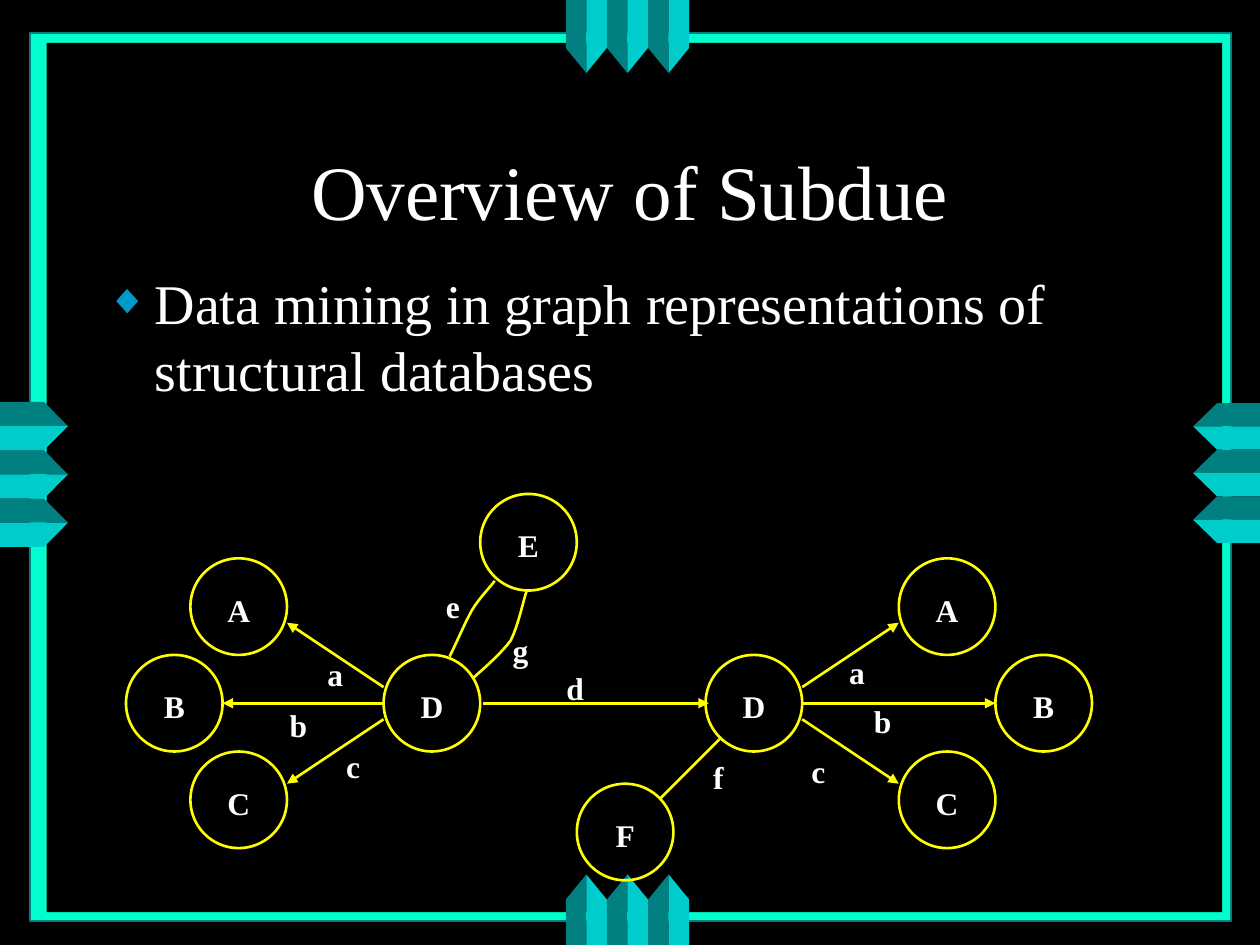
from lxml.etree import SubElement
from pptx import Presentation
from pptx.dml.color import RGBColor
from pptx.enum.shapes import MSO_CONNECTOR, MSO_SHAPE
from pptx.enum.text import MSO_ANCHOR, PP_ALIGN
from pptx.oxml.ns import qn
from pptx.util import Inches, Pt

COLORS = {"background": "000000", "text": "FFFFFF", "graph": "FFFF00",
          "frame": "00FFCC", "dark": "008080", "light": "00CCCC", "bullet": "0099CC"}
FONT = "Times New Roman"
WIDTH, HEIGHT = 10, 7.5

TITLE = "Overview of Subdue"
BULLET = "Data mining in graph representations of structural databases"

# The graph sits on a square grid; each node is three cells wide.
CELL = 2.3 / 9
GRID_LEFT, GRID_TOP = 1, 3.92
NODE_CELLS = 3
NODES = [("A", 2, 2), ("C", 2, 8), ("B", 0, 5), ("D", 8, 5),
         ("A", 24, 2), ("C", 24, 8), ("B", 27, 5), ("D", 18, 5),
         ("F", 14, 9), ("E", 11, 0)]
# start, end, has arrowhead
EDGES = [((21, 6), (24, 4), True), ((21, 6.5), (27, 6.5), True),
         ((21, 7), (24, 9), True), ((8, 6), (5, 4), True),
         ((8, 7), (5, 9), True), ((8, 6.5), (3, 6.5), True),
         ((11.1, 6.5), (18.1, 6.5), True), ((18.45, 7.6), (16.6, 9.45), False)]
EDGE_LABELS = [("f", 17.9, 8.2), ("c", 21, 8), ("b", 23, 6.45), ("a", 22.2, 4.95),
               ("d", 13.45, 5.45), ("e", 9.65, 2.9), ("a", 6, 5), ("b", 4.85, 6.6),
               ("c", 6.55, 7.85), ("g", 11.75, 4.25)]
# Two cubic segments each: a start, then two controls and an end per segment.
CURVES = [
    [(10.8, 5.7), (11.25, 5.3), (11.65, 4.95), (11.95, 4.55),
     (12.2, 4.05), (12.35, 3.25), (12.45, 3)],
    [(10.05, 5.05), (10.3, 4.55), (10.5, 4.05), (10.75, 3.6),
     (11, 3.2), (11.35, 2.85), (11.45, 2.7)],
]
CURVE_STEPS = 8

# axis the strips follow, first strip, strip size, then edge, shoulder and tip
RIBBONS = [("y", 3.19, 0.19, 0, 0.35, 0.54),
           ("x", 4.49, 0.16, 0, 0.38, 0.58),
           ("x", 4.49, 0.16, HEIGHT, 7.14, 6.94),
           ("y", 3.2, 0.18, WIDTH, 9.66, 9.47)]
RIBBON_ENDS = [4.34, 5.47, 5.47, 4.31]
STRIPS = 6


def color(name):
    return RGBColor.from_string(COLORS[name])


def grid_point(column, row):
    return GRID_LEFT + column * CELL, GRID_TOP + row * CELL


def add_preset(slide, kind, box, fill=None, line=None, line_width=1):
    shape = slide.shapes.add_shape(kind, *map(Inches, box))
    style_shape(shape, fill, line, line_width)


def style_shape(shape, fill=None, line=None, line_width=1):
    shape.shadow.inherit = False
    if fill:
        shape.fill.solid()
        shape.fill.fore_color.rgb = color(fill)
    else:
        shape.fill.background()
    if line:
        shape.line.color.rgb = color(line)
        shape.line.width = Pt(line_width)
    else:
        shape.line.fill.background()


def add_outline(slide, points, close):
    corners = [(Inches(x), Inches(y)) for x, y in points]
    builder = slide.shapes.build_freeform(*corners[0], scale=1.0)
    builder.add_line_segments(corners[1:], close=close)
    return builder.convert_to_shape()


def add_text(slide, text, box, size, bold=False, align=PP_ALIGN.CENTER,
             anchor=MSO_ANCHOR.TOP, margins=(0, 0)):
    frame = slide.shapes.add_textbox(*map(Inches, box)).text_frame
    frame.word_wrap = True
    frame.vertical_anchor = anchor
    frame.margin_left = frame.margin_right = Inches(margins[0])
    frame.margin_top = frame.margin_bottom = Inches(margins[1])
    paragraph = frame.paragraphs[0]
    paragraph.text = text
    paragraph.alignment = align
    paragraph.font.name = FONT
    paragraph.font.size = Pt(size)
    paragraph.font.bold = bold
    paragraph.font.color.rgb = color("text")
    return paragraph


def add_bullet(paragraph):
    paragraph.space_before = Pt(8)
    properties = paragraph._p.get_or_add_pPr()
    properties.set("marL", str(Inches(0.38)))
    properties.set("indent", str(-Inches(0.38)))
    bullet_color = SubElement(properties, qn("a:buClr"))
    SubElement(bullet_color, qn("a:srgbClr"), val=COLORS["bullet"])
    SubElement(properties, qn("a:buSzPct"), val="75000")
    SubElement(properties, qn("a:buFont"), typeface=FONT)
    SubElement(properties, qn("a:buChar"), char="◆")


def add_ribbon(slide, ribbon, end):
    """Add folded strips whose paired tips point into the slide."""
    axis, first, _, edge, shoulder, tip = ribbon
    size = (end - first) / STRIPS
    for index in range(STRIPS):
        near, far = first + index * size, first + (index + 1) * size
        rising = index % 2 == 0
        depths = (shoulder, tip) if rising else (tip, shoulder)
        points = [(near, edge), (near, depths[0]), (far, depths[1]), (far, edge)]
        if axis == "y":
            points = [(depth, along) for along, depth in points]
        style_shape(add_outline(slide, points, True), "dark" if rising else "light")


def add_edge(slide, start, end, arrow):
    places = [Inches(value) for point in (start, end) for value in grid_point(*point)]
    edge = slide.shapes.add_connector(MSO_CONNECTOR.STRAIGHT, *places)
    edge.line.color.rgb = color("graph")
    edge.line.width = Pt(1.5)
    if arrow:
        SubElement(edge.line._get_or_add_ln(), qn("a:tailEnd"), type="triangle")
    SubElement(edge._element.spPr, qn("a:effectLst"))


def curve_points(controls):
    """Sample the joined cubic segments."""
    points = [controls[0]]
    for first in range(0, len(controls) - 1, 3):
        segment = controls[first:first + 4]
        for step in range(1, CURVE_STEPS + 1):
            t = step / CURVE_STEPS
            weights = ((1 - t) ** 3, 3 * t * (1 - t) ** 2, 3 * t * t * (1 - t), t ** 3)
            points.append(tuple(sum(w * p[i] for w, p in zip(weights, segment))
                                for i in (0, 1)))
    return [grid_point(*point) for point in points]


def add_label(slide, text, column, row):
    add_text(slide, text, (*grid_point(column, row), CELL, CELL), 18, bold=True)


def main():
    presentation = Presentation()
    presentation.slide_width, presentation.slide_height = Inches(WIDTH), Inches(HEIGHT)
    slide = presentation.slides.add_slide(presentation.slide_layouts[6])
    slide.background.fill.solid()
    slide.background.fill.fore_color.rgb = color("background")

    add_preset(slide, MSO_SHAPE.RECTANGLE, (0.24, 0.26, 9.53, 7.05), "frame", "dark")
    add_preset(slide, MSO_SHAPE.RECTANGLE, (0.37, 0.34, 9.33, 6.9), "background")
    for ribbon, end in zip(RIBBONS, RIBBON_ENDS):
        add_ribbon(slide, ribbon, end)

    add_text(slide, TITLE, (0.75, 0.67, 8.5, 1.25), 44,
             anchor=MSO_ANCHOR.BOTTOM, margins=(0.1, 0.05))
    add_bullet(add_text(slide, BULLET, (0.75, 2.08, 8.5, 4.5), 32,
                        align=PP_ALIGN.LEFT, margins=(0.1, 0.05)))

    diameter = NODE_CELLS * CELL
    for name, column, row in NODES:
        add_preset(slide, MSO_SHAPE.OVAL, (*grid_point(column, row), diameter, diameter),
                   line="graph", line_width=1.5)
        add_label(slide, name, column + 1, row + 1)
    for edge in EDGES:
        add_edge(slide, *edge)
    for label in EDGE_LABELS:
        add_label(slide, *label)
    for controls in CURVES:
        style_shape(add_outline(slide, curve_points(controls), False),
                    line="graph", line_width=1.5)

    presentation.save("out.pptx")


if __name__ == "__main__":
    main()
